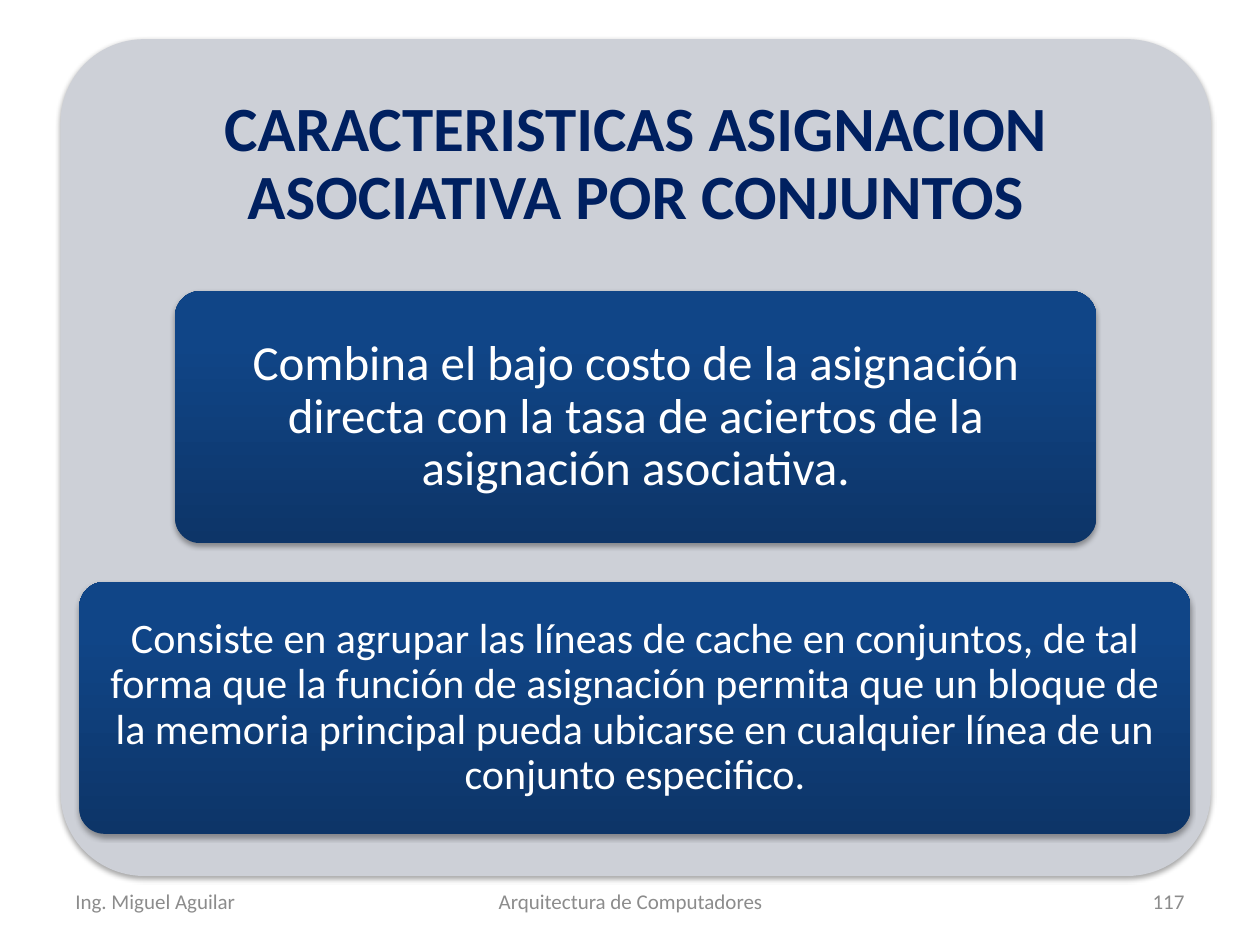
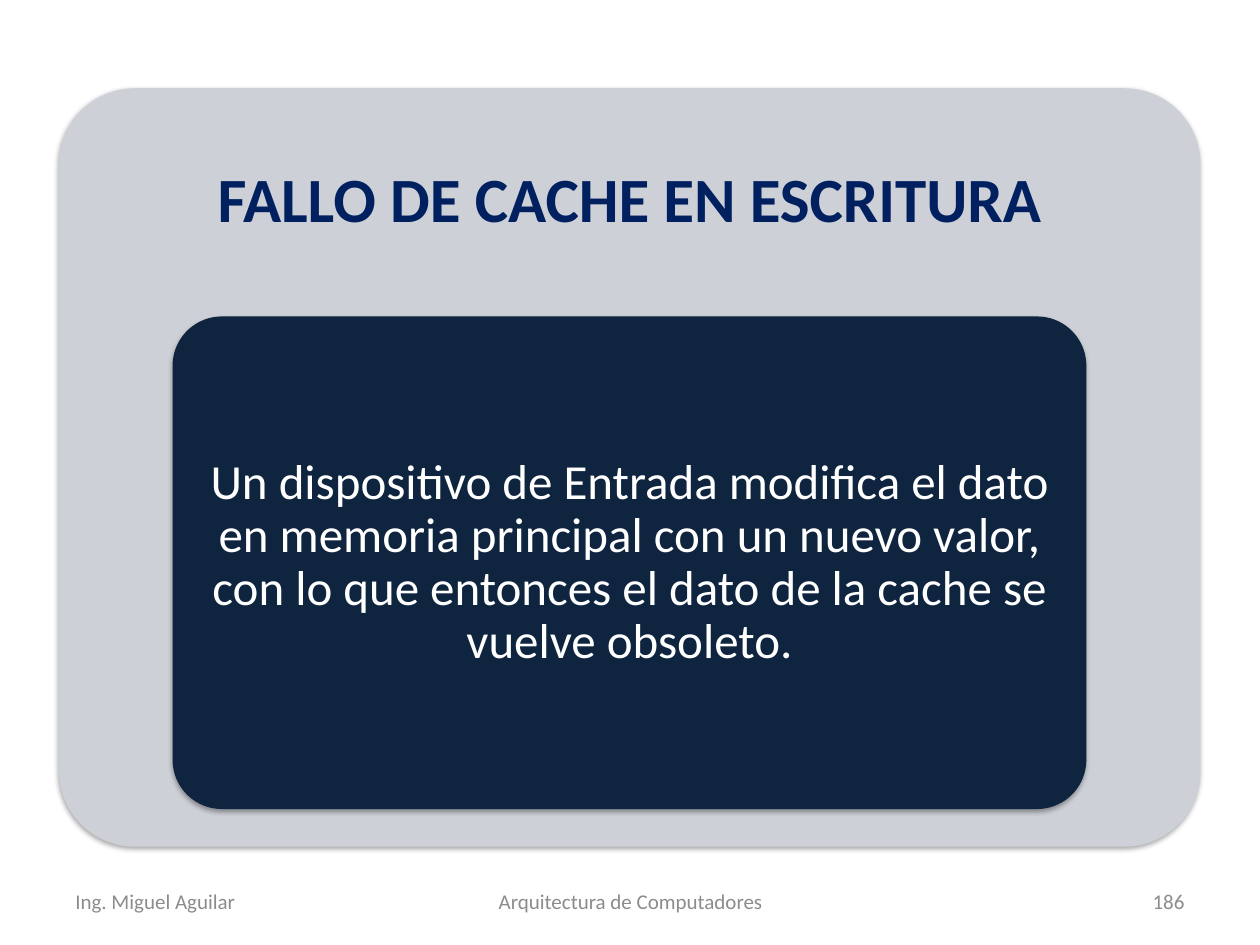
import copy

import lxml.etree
import pptx
import pptx.dml.color
import pptx.enum.shapes
import pptx.enum.text
import pptx.oxml
import pptx.oxml.ns
import pptx.util

Cm = pptx.util.Cm
Pt = pptx.util.Pt
RGBColor = pptx.dml.color.RGBColor
ALIGN = pptx.enum.text.PP_ALIGN
MIDDLE = pptx.enum.text.MSO_ANCHOR.MIDDLE

FONT = "Calibri"
WHITE = RGBColor(0xFF, 0xFF, 0xFF)
GREY = RGBColor(0x8C, 0x8C, 0x8C)
PANEL = RGBColor(0xCD, 0xD0, 0xD7)
TITLE = RGBColor(0x00, 0x20, 0x60)
NAVY = RGBColor(0x0F, 0x24, 0x3E)
BLUES = (
    (0, RGBColor(0x0D, 0x35, 0x68)),
    (0.8, RGBColor(0x10, 0x45, 0x87)),
    (1, RGBColor(0x0E, 0x45, 0x8A)),
)
SHADOW = (
    '<a:effectLst %s><a:outerShdw blurRad="39370" dist="22860" dir="5400000" rotWithShape="0">'
    '<a:srgbClr val="000000"><a:alpha val="35000"/></a:srgbClr>'
    "</a:outerShdw></a:effectLst>" % pptx.oxml.ns.nsdecls("a")
)


class Deck:
    def __init__(self):
        self.prs = pptx.Presentation()
        self.prs.slide_width = Cm(25.4)
        self.prs.slide_height = Cm(19.05)
        self.s = None

    def set_text(self, sp, text, size, color, align=ALIGN.CENTER, bold=False, spacing=0.9, insets=None):
        tf = sp.text_frame
        tf.text = text
        tf.word_wrap = True
        tf.auto_size = pptx.enum.text.MSO_AUTO_SIZE.NONE
        tf.vertical_anchor = MIDDLE
        if insets:
            tf.margin_left = tf.margin_right = Cm(insets[0])
            tf.margin_top = tf.margin_bottom = Cm(insets[1])
        p = tf.paragraphs[0]
        p.alignment = align
        p.line_spacing = spacing
        font = p.runs[0].font
        font.name, font.size, font.bold = FONT, Pt(size), bold
        font.color.rgb = color

    def footer(self, number):
        for text, left, width, align in (
            ("Ing. Miguel Aguilar", 1.27, 5.92, ALIGN.LEFT),
            ("Arquitectura de Computadores", 8.69, 8.05, ALIGN.CENTER),
            (str(number), 18.21, 5.92, ALIGN.RIGHT),
        ):
            sp = self.s.shapes.add_textbox(Cm(left), Cm(17.65), Cm(width), Cm(1.02))
            self.set_text(sp, text, 12, GREY, align, spacing=1)

    def rounded(self, left, top, width, height, fill):
        sp = self.s.shapes.add_shape(
            pptx.enum.shapes.MSO_SHAPE.ROUNDED_RECTANGLE, Cm(left), Cm(top), Cm(width), Cm(height)
        )
        sp.adjustments[0] = 0.1
        sp.line.fill.background()
        if isinstance(fill, RGBColor):
            sp.fill.solid()
            sp.fill.fore_color.rgb = fill
        else:
            self.gradient(sp, fill)
        sp.shadow.inherit = False
        spPr = sp._element.spPr
        spPr.replace(spPr.find(pptx.oxml.ns.qn("a:effectLst")), lxml.etree.fromstring(SHADOW))
        return sp

    def gradient(self, sp, colors):
        sp.fill.gradient()
        sp.fill.gradient_angle = 90
        stops = sp._element.spPr.find(".//" + pptx.oxml.ns.qn("a:gsLst"))
        stops.insert(1, copy.deepcopy(stops[0]))
        for stop, (position, color) in zip(sp.fill.gradient_stops, colors):
            stop.position = position
            stop.color.rgb = color

    def titled_panel(self, title, number, left, top, width, height):
        self.s = self.prs.slides.add_slide(self.prs.slide_layouts[5])
        self.footer(number)
        panel = self.rounded(left, top, width, height, PANEL)
        sp = self.s.shapes.title
        sp._element.addprevious(panel._element)
        sp.left, sp.top, sp.width, sp.height = Cm(left), Cm(top), Cm(width), Cm(height * 0.3)
        self.set_text(sp, title, 36, TITLE, bold=True, insets=(0.38, 0.38))

    def box(self, text, size, fill, left, top, width, height, insets=(0.2, 0.15)):
        sp = self.rounded(left, top, width, height, fill)
        self.set_text(sp, text, size, WHITE, insets=insets)


def main():
    deck = Deck()

    deck.titled_panel(
        "CARACTERISTICAS ASIGNACION ASOCIATIVA POR CONJUNTOS", 117, 1.22, 0.79, 23.19, 16.87
    )
    deck.box(
        "Combina el bajo costo de la asignación directa con la tasa de aciertos "
        "de la asignación asociativa.",
        28, BLUES, 3.53, 5.87, 18.57, 5.08,
    )
    deck.box(
        "Consiste en agrupar las líneas de cache en conjuntos, de tal forma que la función "
        "de asignación permita que un bloque de la memoria principal pueda ubicarse "
        "en cualquier línea de un conjunto especifico.",
        24, BLUES, 1.6, 11.73, 22.4, 5.08, insets=(0.18, 0.13),
    )

    deck.titled_panel("FALLO DE CACHE EN ESCRITURA", 186, 1.19, 1.78, 23.01, 15.29)
    deck.box(
        "Un dispositivo de Entrada modifica el dato en memoria principal con un nuevo valor, "
        "con lo que entonces el dato de la cache se vuelve obsoleto.",
        28, NAVY, 3.48, 6.38, 18.42, 9.93,
    )

    deck.prs.save("out.pptx")


if __name__ == "__main__":
    main()
